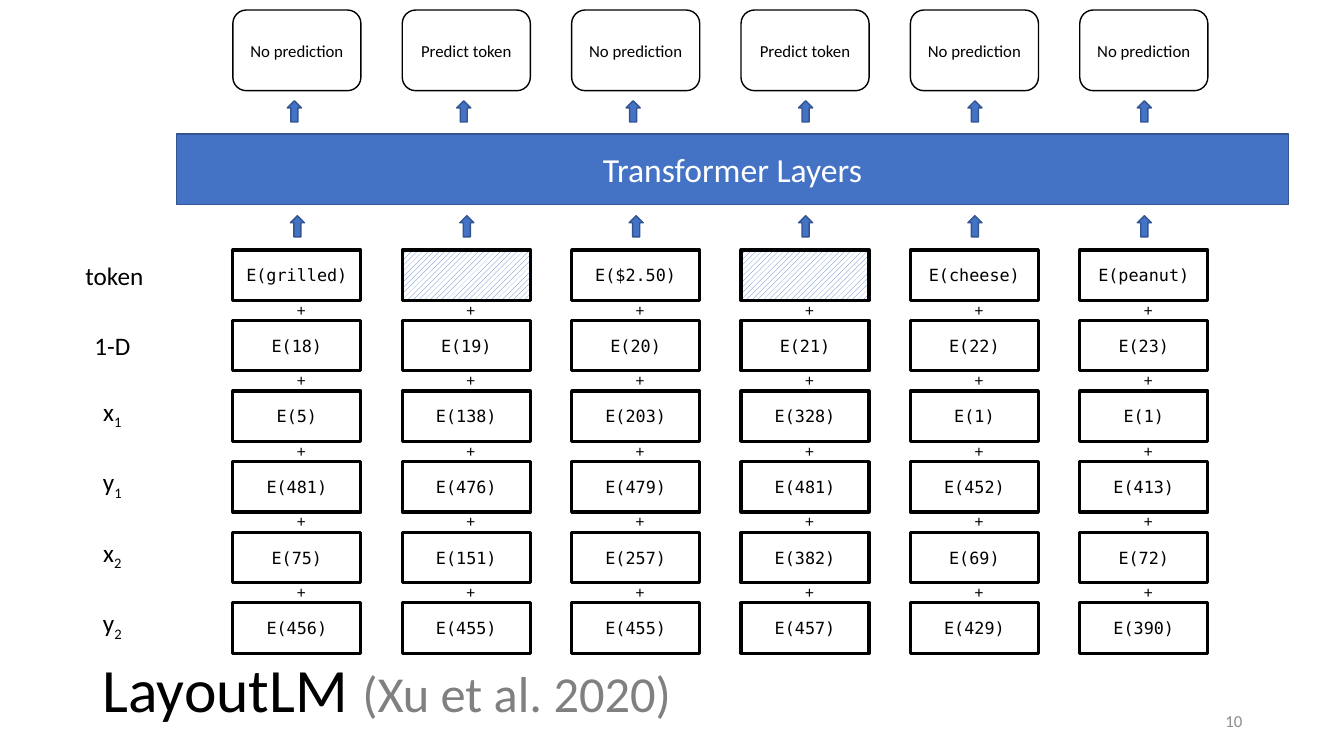
import dataclasses
import typing

import pptx
import pptx.dml.color
import pptx.enum.dml
import pptx.enum.shapes
import pptx.enum.text
import pptx.util

Inches = pptx.util.Inches
Pt = pptx.util.Pt
SHAPE = pptx.enum.shapes.MSO_SHAPE
ALIGN = pptx.enum.text.PP_ALIGN
ANCHOR = pptx.enum.text.MSO_ANCHOR

COLORS = {
    "black": "000000",
    "white": "FFFFFF",
    "blue": "4472C4",
    "navy": "325491",
    "gray": "808080",
    "number": "8C8C8C",
}

SANS, MONO = "Calibri", "DejaVu Sans Mono"
COL_LEFT, COL_STEP, BOX_W = 2.31, 1.68, 1.27
ROW_TOP, ROW_STEP, BOX_H = 2.48, 0.7, 0.5


@dataclasses.dataclass
class Run:
    text: str
    size: float
    color: str = "black"
    font: str = SANS
    baseline: int = 0


@dataclasses.dataclass
class Box:
    left: float
    top: float
    width: float
    height: float


@dataclasses.dataclass
class Style:
    preset: SHAPE
    fill: typing.Optional[str]
    line: str
    weight: float


@dataclasses.dataclass
class Token:
    prediction: str
    embeddings: list[str]
    exit_shift: float = 0


EMBEDDING = Style(SHAPE.RECTANGLE, None, "black", 2.25)
LAYERS = Style(SHAPE.RECTANGLE, "blue", "navy", 1)
ARROW = Style(SHAPE.UP_ARROW, "blue", "navy", 1)
PREDICTION = Style(SHAPE.ROUNDED_RECTANGLE, "white", "black", 1)

TOKENS = [
    Token("No prediction", ["grilled", "18", "5", "481", "75", "456"]),
    Token("Predict token", ["", "19", "138", "476", "151", "455"]),
    Token("No prediction", ["$2.50", "20", "203", "479", "257", "455"]),
    Token("Predict token", ["", "21", "328", "481", "382", "457"], 0.03),
    Token("No prediction", ["cheese", "22", "1", "452", "69", "429"], 0.03),
    Token("No prediction", ["peanut", "23", "1", "413", "72", "390"], 0.03),
]
ROW_LABELS = [("token", ""), ("1-D", ""), ("x", "1"), ("y", "1"), ("x", "2"), ("y", "2")]


def rgb(name: str) -> pptx.dml.color.RGBColor:
    return pptx.dml.color.RGBColor.from_string(COLORS[name])


def set_all(obj: typing.Any, values: dict[str, typing.Any]) -> None:
    for name, value in values.items():
        setattr(obj, name, value)


def place(box: Box) -> list[int]:
    return [Inches(v) for v in dataclasses.astuple(box)]


def write(sp: typing.Any, runs: list[Run], frame: dict[str, typing.Any],
          paragraph: dict[str, typing.Any]) -> None:
    tf = sp.text_frame
    set_all(tf, {"word_wrap": True, "vertical_anchor": ANCHOR.MIDDLE} | frame)
    p = tf.paragraphs[0]
    set_all(p, {"alignment": ALIGN.CENTER} | paragraph)
    for run in runs:
        r = p.add_run()
        r.text = run.text
        set_all(r.font, {"size": Pt(run.size), "name": run.font})
        r.font.color.rgb = rgb(run.color)
        if run.baseline:
            r.font._element.set("baseline", str(run.baseline * 1000))


def add_text(s: typing.Any, box: Box, runs: list[Run],
             frame: typing.Optional[dict[str, typing.Any]] = None,
             paragraph: typing.Optional[dict[str, typing.Any]] = None) -> None:
    write(s.shapes.add_textbox(*place(box)), runs, frame or {}, paragraph or {})


def add_shape(s: typing.Any, box: Box, style: Style,
              run: typing.Optional[Run] = None) -> typing.Any:
    sp = s.shapes.add_shape(style.preset, *place(box))
    sp.shadow.inherit = False
    if style.fill:
        sp.fill.solid()
        sp.fill.fore_color.rgb = rgb(style.fill)
    else:
        sp.fill.background()
    sp.line.color.rgb = rgb(style.line)
    sp.line.width = Pt(style.weight)
    if run:
        write(sp, [run], {}, {})
    return sp


def hatch(sp: typing.Any) -> None:
    sp.fill.patterned()
    sp.fill.pattern = pptx.enum.dml.MSO_PATTERN.WIDE_UPWARD_DIAGONAL
    sp.fill.fore_color.rgb = rgb("blue")
    sp.fill.back_color.rgb = rgb("white")


def add_token(s: typing.Any, left: float, token: Token) -> None:
    add_shape(s, Box(left, 0.1, BOX_W, 0.8), PREDICTION, Run(token.prediction, 12))
    add_shape(s, Box(left + 0.54 + token.exit_shift, 1, 0.14, 0.21), ARROW)
    add_shape(s, Box(left + 0.57, 2.14, 0.14, 0.21), ARROW)
    for row, value in enumerate(token.embeddings):
        top = ROW_TOP + row * ROW_STEP
        run = Run(f"E({value})", 12, font=MONO) if value else None
        sp = add_shape(s, Box(left, top, BOX_W, BOX_H), EMBEDDING, run)
        if not value:
            hatch(sp)
        if row:
            add_text(s, Box(left + 0.54, top - 0.26, 0.2, 0.3), [Run("+", 12)],
                     {"margin_left": Inches(0.08), "margin_right": 0})


def add_row_label(s: typing.Any, row: int, name: str, index: str) -> None:
    runs = [Run(name, 18)]
    anchor = ANCHOR.MIDDLE
    if index:
        runs.append(Run(index, 18, baseline=-25))
        anchor = ANCHOR.TOP
    left = 0.48 if row else 0.5
    add_text(s, Box(left, ROW_TOP + row * ROW_STEP, BOX_W, BOX_H), runs,
             {"vertical_anchor": anchor})


def main() -> None:
    prs = pptx.Presentation()
    set_all(prs, {"slide_width": Inches(13.33), "slide_height": Inches(7.5)})
    s = prs.slides.add_slide(prs.slide_layouts[6])
    add_text(s, Box(0.92, 6.49, 11.5, 0.81),
             [Run("LayoutLM ", 44), Run("(Xu et al. 2020)", 36, "gray")],
             {"vertical_anchor": ANCHOR.TOP},
             {"alignment": ALIGN.LEFT, "line_spacing": 0.9})
    add_shape(s, Box(1.75, 1.33, 11.03, 0.7), LAYERS, Run("Transformer Layers", 24, "white"))
    for row, (name, index) in enumerate(ROW_LABELS):
        add_row_label(s, row, name, index)
    for col, token in enumerate(TOKENS):
        add_token(s, COL_LEFT + col * COL_STEP, token)
    add_text(s, Box(9.42, 6.95, 3, 0.4), [Run("10", 12, "number")],
             paragraph={"alignment": ALIGN.RIGHT})
    prs.save("out.pptx")


if __name__ == "__main__":
    main()
